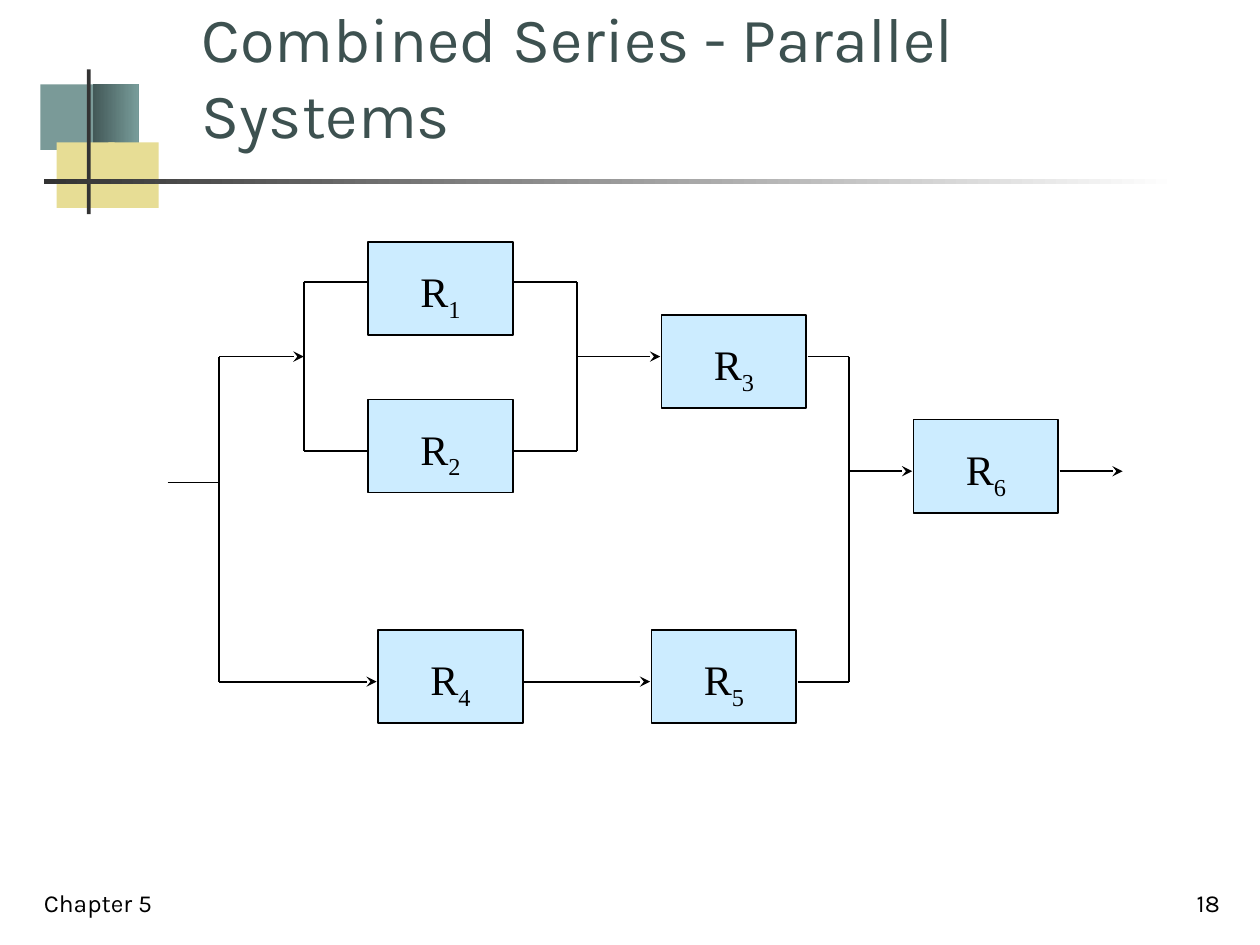
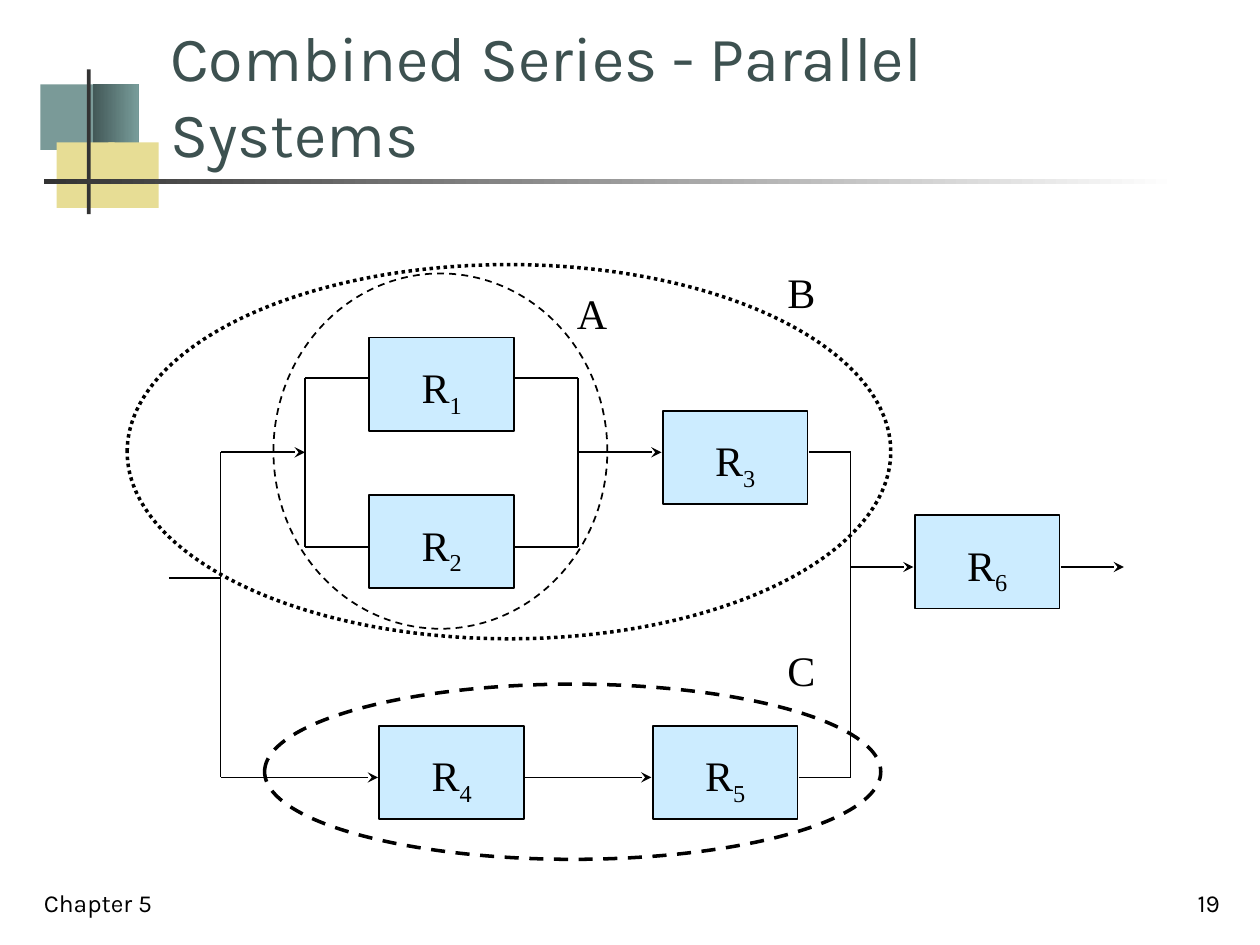
from lxml.etree import SubElement as Sub
from pptx import Presentation
from pptx.dml.color import RGBColor as RGB
from pptx.enum.dml import MSO_LINE as DASH
from pptx.enum.shapes import MSO_CONNECTOR as CONN, MSO_SHAPE as SHAPE
from pptx.enum.text import MSO_ANCHOR as ANCHOR, MSO_AUTO_SIZE as AUTO, PP_ALIGN as ALIGN
from pptx.oxml.ns import qn
from pptx.util import Inches, Pt

BLACK = RGB(0, 0, 0)
WHITE = RGB(255, 255, 255)
DARK = RGB(0x33, 0x33, 0x33)
TEAL = RGB(0x7A, 0x9A, 0x98)
DEEP = RGB(0x43, 0x59, 0x58)
PALE = RGB(0x78, 0x9C, 0x9A)
SAND = RGB(0xE7, 0xDD, 0x95)
SKY = RGB(0xCC, 0xEC, 0xFF)
HEAD = RGB(0x3D, 0x51, 0x50)
SANS, SERIF = "Karla", "Times New Roman"

TITLE = "Combined Series - Parallel Systems"
FOOT = "Chapter 5"

BANDS = [
    ((0.32, 0.67, 0.48, 0.52), [TEAL]),
    ((0.74, 0.67, 0.36, 0.52), [DEEP, PALE]),
    ((0.45, 1.13, 0.46, 0.52), [SAND]),
    ((0.86, 1.13, 0.40, 0.52), [SAND]),
    ((0.69, 0.55, 0.03, 1.15), [DARK]),
    ((0.35, 1.42, 9, 0.04), [DARK, WHITE]),
]

BOX_W, BOX_H = 1.15, 0.74
BOXES = {"1": (2.92, 1.92), "2": (2.92, 3.17), "3": (5.25, 2.5),
         "4": (3, 5), "5": (5.17, 5), "6": (7.25, 3.33)}

FORK, SPLIT, JOIN, MERGE = 1.74, 2.41, 4.58, 6.74
ROW1, ROW2, ROW3, ROW4, ROW6 = 2.24, 3.58, 2.83, 5.41, 3.74
POSTS = [(FORK, ROW3, ROW4), (SPLIT, ROW1, ROW2),
         (JOIN, ROW1, ROW2), (MERGE, ROW3, ROW4)]
WIRES = [(1.33, FORK, 3.83), (6.41, MERGE, ROW3), (6.33, MERGE, ROW4)]
for row in (ROW1, ROW2):
    WIRES += [(SPLIT, 2.91, row), (4.08, JOIN, row)]
ARROWS = [(FORK, 2.99, ROW4), (FORK, SPLIT, ROW3), (JOIN, 5.24, ROW3),
          (4.16, 5.16, ROW4), (MERGE, 7.24, ROW6), (8.41, 8.91, ROW6)]

ZONES = [
    ("A", (2.17, 2.17, 2.65, 2.82), 1, DASH.DASH, (4.48, 2.23, 0.44, 0.5)),
    ("B", (1.01, 2.1, 6.06, 2.97), 2, DASH.ROUND_DOT, (6.15, 2.07, 0.42, 0.5)),
    ("C", (2.1, 5.43, 4.89, 1.39), 2, DASH.DASH, (6.15, 5.07, 0.42, 0.5)),
]

SLIDES = [
    {"page": "18", "title": (1.5, 0.33, 8.17, 0.92), "shift": (0, 0), "zones": []},
    {"page": "19", "title": (1.25, 0.33, 8.24, 1.07), "shift": (0.01, 0.76), "zones": ZONES},
]


def inch(nums):
    return [Inches(n) for n in nums]


def style(para, font, size, color):
    for run in para.runs:
        run.font.name = font
        run.font.size = Pt(size)
        run.font.color.rgb = color


def solid(slide, kind, area):
    shape = slide.shapes.add_shape(kind, *inch(area))
    shape.shadow.inherit = False
    return shape


def outline(shape, width):
    shape.line.color.rgb = BLACK
    shape.line.width = Pt(width)


def band(slide, area, tones):
    shape = solid(slide, SHAPE.RECTANGLE, area)
    shape.line.fill.background()
    if len(tones) == 1:
        shape.fill.solid()
        shape.fill.fore_color.rgb = tones[0]
        return
    shape.fill.gradient()
    shape.fill.gradient_angle = 0
    for stop, tone, place in zip(shape.fill.gradient_stops, tones, (0, 1)):
        stop.color.rgb = tone
        stop.position = place


def label(slide, area, text, font, size, wrap=True, align=ALIGN.LEFT, anchor=ANCHOR.TOP):
    frame = slide.shapes.add_textbox(*inch(area)).text_frame
    frame.word_wrap = wrap
    frame.vertical_anchor = anchor
    frame.text = text
    para = frame.paragraphs[0]
    para.alignment = align
    style(para, font, size, BLACK)


def block(slide, num, x, y):
    shape = solid(slide, SHAPE.RECTANGLE, (x, y, BOX_W, BOX_H))
    shape.fill.solid()
    shape.fill.fore_color.rgb = SKY
    outline(shape, 1)
    frame = shape.text_frame
    frame.vertical_anchor = ANCHOR.TOP
    frame.margin_top = Inches(0.19)
    para = frame.paragraphs[0]
    para.alignment = ALIGN.CENTER
    para.add_run().text = "R"
    sub = para.add_run()
    sub.text = num
    style(para, SERIF, 24, BLACK)
    sub.font._element.set("baseline", "-25000")


def wire(slide, ends, arrow=False):
    line = slide.shapes.add_connector(CONN.STRAIGHT, *inch(ends))
    outline(line, 1)
    props = line.element.spPr
    if arrow:
        Sub(props.find(qn("a:ln")), qn("a:tailEnd"), type="stealth")
    Sub(props, qn("a:effectLst"))


def zone(slide, name, area, width, dash, spot):
    ring = solid(slide, SHAPE.OVAL, area)
    ring.fill.background()
    outline(ring, width)
    ring.line.dash_style = dash
    label(slide, spot, name, SERIF, 24, wrap=False)


def frame_up(slide, page, area):
    for place, tones in BANDS:
        band(slide, place, tones)
    title = slide.shapes.title
    title.left, title.top, title.width, title.height = inch(area)
    frame = title.text_frame
    frame.text = TITLE
    frame.word_wrap = True
    frame.auto_size = AUTO.NONE
    frame.vertical_anchor = ANCHOR.BOTTOM
    frame.paragraphs[0].alignment = ALIGN.LEFT
    style(frame.paragraphs[0], SANS, 36, HEAD)
    for x, text, align in ((0.25, FOOT, ALIGN.LEFT), (7.7, page, ALIGN.RIGHT)):
        label(slide, (x, 6.83, 2.08, 0.5), text, SANS, 14, align=align, anchor=ANCHOR.BOTTOM)


def circuit(slide, dx, dy):
    for num, (x, y) in BOXES.items():
        block(slide, num, x + dx, y + dy)
    for x, top, end in POSTS:
        wire(slide, (x + dx, top + dy, x + dx, end + dy))
    for group, arrow in ((WIRES, False), (ARROWS, True)):
        for start, end, y in group:
            wire(slide, (start + dx, y + dy, end + dx, y + dy), arrow)


def main():
    deck = Presentation()
    deck.slide_width, deck.slide_height = inch((10, 7.5))
    for data in SLIDES:
        slide = deck.slides.add_slide(deck.slide_layouts[5])
        frame_up(slide, data["page"], data["title"])
        circuit(slide, *data["shift"])
        for item in data["zones"]:
            zone(slide, *item)
    deck.save("out.pptx")


if __name__ == "__main__":
    main()
